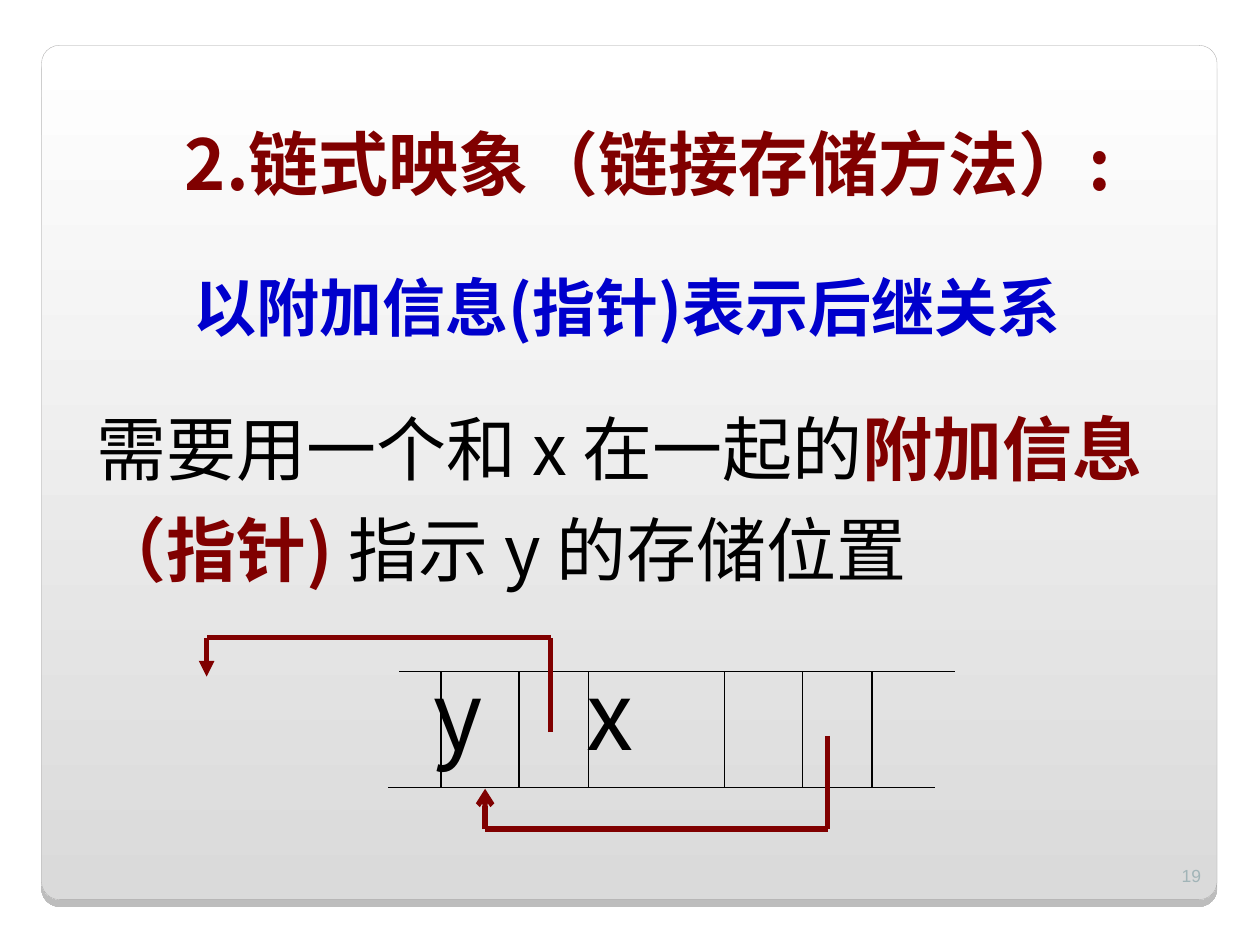
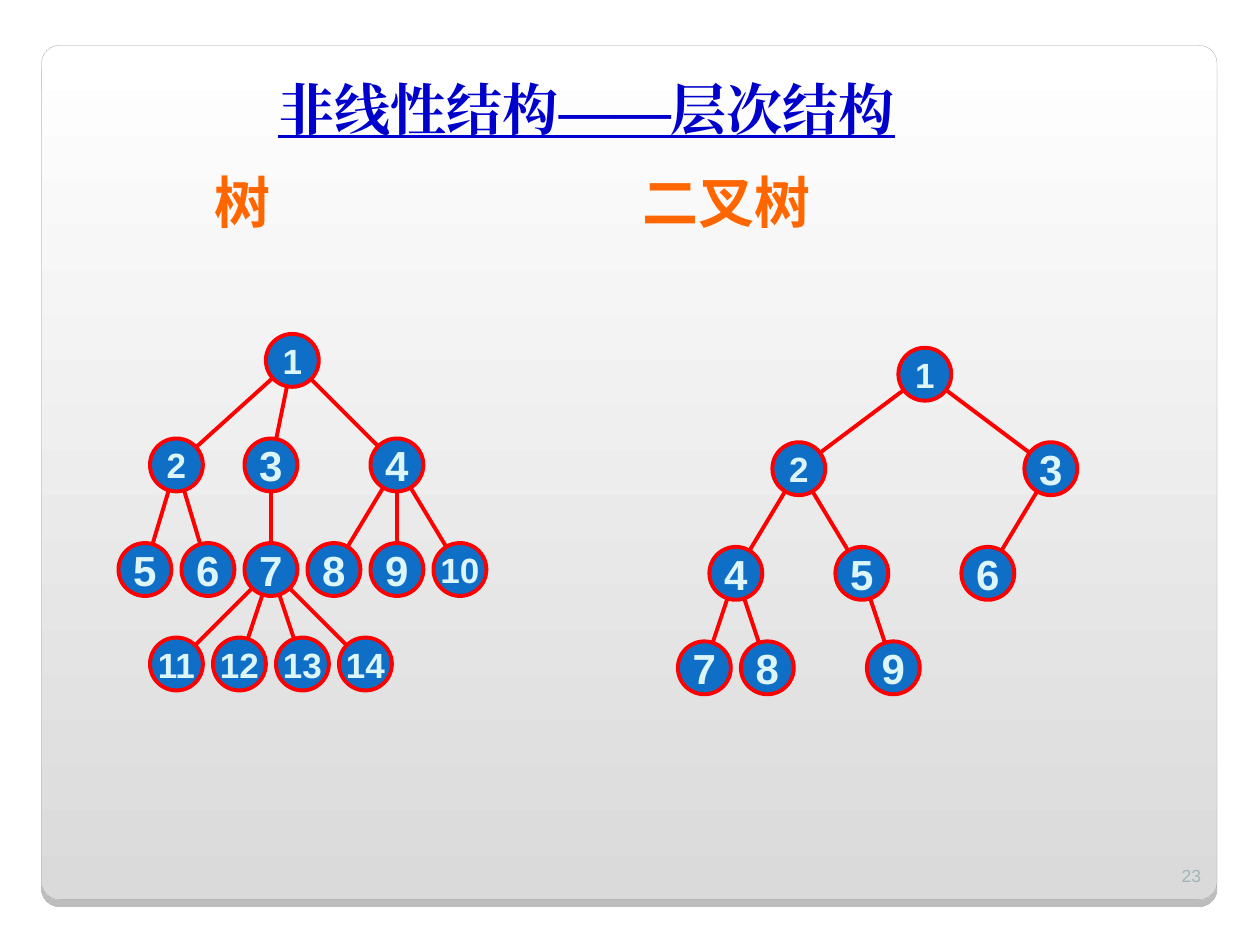
import itertools

import pptx
import pptx.dml.color
import pptx.enum.shapes
import pptx.enum.text
import pptx.oxml
import pptx.oxml.ns
import pptx.util
from pptx.util import Inches

# ---- Shared look ----
RED, BLUE, ORANGE, BLACK = "800000", "0000CC", "FF6600", "000000"
NODE_FILL, NODE_LINE, NODE_TEXT = "0F6FC6", "FF0000", "DBF5F9"
CJK = "Noto Sans CJK SC"
NODE_SIZE = 0.42
ANCHOR = pptx.enum.text.MSO_ANCHOR
ALIGN = pptx.enum.text.PP_ALIGN

# ---- Content: linked storage ----
LINKED_TEXTS = [  # position, runs, line spacing
    ((1.37, 0.91, 8.07, 0.77),
     [("2.链式映象（链接存储方法）:", dict(size=40, color=RED, bold=True))], None),
    ((1.44, 2.08, 7.68, 0.7),
     [("以附加信息(指针)表示后继关系", dict(size=36, color=BLUE, bold=True))], None),
    ((0.67, 3.04, 9.08, 1.7),
     [("需要用一个和 x 在一起的", dict(size=40)),
      ("附加信息（指针) ", dict(size=40, color=RED, bold=True)),
      ("指示 y 的存储位置", dict(size=40))], 1.2),
    ((3.34, 5.16, 0.8, 1), [("y", dict(size=54))], None),
    ((4.56, 5.16, 0.8, 1), [("x", dict(size=54))], None),
]
MEMORY_TOP, MEMORY_BOTTOM = 5.33, 6.25
MEMORY_EDGES = [(3.17, 7.58, MEMORY_TOP), (3.08, 7.42, MEMORY_BOTTOM)]
CELL_BORDERS = [3.5, 4.12, 4.67, 5.75, 6.37, 6.92]
POINTERS = [  # arrow style, corner points
    ("triangle", [(4.37, 5.81), (4.37, 5.06), (1.64, 5.06), (1.64, 5.37)]),
    ("arrow", [(6.57, 5.84), (6.57, 6.58), (3.85, 6.58), (3.85, 6.26)]),
]

# ---- Content: trees (rows hold a top and the left of each node) ----
TREES = [
    dict(rows=[(2.65, {1: 2.11}),
               (3.48, {2: 1.19, 3: 1.94, 4: 2.94}),
               (4.31, {label: 0.94 + 0.5 * i for i, label in enumerate(range(5, 11))}),
               (5.06, {label: 1.19 + 0.5 * i for i, label in enumerate(range(11, 15))})],
         children={1: [2, 3, 4], 2: [5, 6], 3: [7], 4: [8, 9, 10],
                   7: [11, 12, 13, 14]}),
    dict(rows=[(2.76, {1: 7.13}),
               (3.51, {2: 6.13, 3: 8.13}),
               (4.34, {4: 5.63, 5: 6.63, 6: 7.63}),
               (5.09, {7: 5.38, 8: 5.88, 9: 6.88})],
         children={1: [2, 3], 2: [4, 5], 3: [6], 4: [7, 8], 5: [9]}),
]


# ---- Helpers ----
def rgb(value):
    return pptx.dml.color.RGBColor.from_string(value)


def add_xml(parent, tag, content="", **attributes):
    listed = " ".join(f'{name}="{value}"' for name, value in attributes.items())
    namespace = pptx.oxml.ns.nsdecls("a")
    parent.append(pptx.oxml.parse_xml(
        f"<a:{tag} {namespace} {listed}>{content}</a:{tag}>"))


def set_line(line, color, width):
    line.color.rgb = rgb(color)
    line.width = pptx.util.Pt(width)


def add_run(paragraph, text, size, color=BLACK, bold=False, underline=False, name=CJK):
    run = paragraph.add_run()
    run.text = text
    values = dict(size=pptx.util.Pt(size), bold=bold, underline=underline, name=name)
    for attribute, value in values.items():
        setattr(run.font, attribute, value)
    run.font.color.rgb = rgb(color)
    add_xml(run.font._element, "ea", typeface=name)


def set_frame(frame, margins, anchor, wrap=True):
    horizontal, vertical = map(Inches, margins)
    values = dict(margin_left=horizontal, margin_right=horizontal, margin_top=vertical,
                  margin_bottom=vertical, vertical_anchor=anchor, word_wrap=wrap)
    for attribute, value in values.items():
        setattr(frame, attribute, value)


def add_text(slide, position, runs, spacing=None, margins=(0.1, 0.05),
             anchor=ANCHOR.TOP, align=ALIGN.LEFT, tabs=()):
    frame = slide.shapes.add_textbox(*map(Inches, position)).text_frame
    set_frame(frame, margins, anchor)
    paragraph = frame.paragraphs[0]
    paragraph.alignment = align
    if spacing:
        paragraph.line_spacing = spacing
    if tabs:
        stops = "".join(f'<a:tab pos="{Inches(stop)}" algn="l"/>' for stop in tabs)
        add_xml(paragraph._p.get_or_add_pPr(), "tabLst", stops)
    for text, style in runs:
        add_run(paragraph, text, **style)


def add_line(slide, start, end, color, width, arrow=None):
    connector = slide.shapes.add_connector(
        pptx.enum.shapes.MSO_CONNECTOR.STRAIGHT, *map(Inches, (*start, *end)))
    set_line(connector.line, color, width)
    if arrow:
        add_xml(connector.line._get_or_add_ln(), "tailEnd", type=arrow)
    add_xml(connector._element.spPr, "effectLst")


def add_card(slide):
    card = slide.shapes.add_shape(pptx.enum.shapes.MSO_SHAPE.ROUNDED_RECTANGLE,
                                  *map(Inches, (0.33, 0.36, 9.33, 6.78)))
    card.adjustments[0] = 0.021
    card.fill.gradient()
    card.fill.gradient_angle = 270
    for stop, color in zip(card.fill.gradient_stops, ("FFFFFF", "DADADA")):
        stop.color.rgb = rgb(color)
    set_line(card.line, "A4A3A3", 0.17)
    card.shadow.inherit = False
    effects = card._element.spPr.find(pptx.oxml.ns.qn("a:effectLst"))
    add_xml(effects, "outerShdw",
            '<a:srgbClr val="000000"><a:alpha val="25000"/></a:srgbClr>',
            blurRad=0, dist=pptx.util.Pt(4), dir=5400000, algn="t", rotWithShape=0)


def add_page(presentation, number):
    slide = presentation.slides.add_slide(presentation.slide_layouts[6])
    add_card(slide)
    add_text(slide, (9.13, 6.68, 0.5, 0.4),
             [(str(number), dict(size=10, color="A1B4B7", name="Arial"))],
             anchor=ANCHOR.BOTTOM, align=ALIGN.RIGHT)
    return slide


def add_node(slide, label, left, top):
    node = slide.shapes.add_shape(pptx.enum.shapes.MSO_SHAPE.OVAL,
                                  *map(Inches, (left, top, NODE_SIZE, NODE_SIZE)))
    node.shadow.inherit = False
    node.fill.solid()
    node.fill.fore_color.rgb = rgb(NODE_FILL)
    set_line(node.line, NODE_LINE, 2.25)
    set_frame(node.text_frame, (0, 0), ANCHOR.MIDDLE, wrap=False)
    paragraph = node.text_frame.paragraphs[0]
    paragraph.alignment = ALIGN.CENTER
    size = 24 if 3 <= label <= 9 else 20
    add_run(paragraph, str(label), size, NODE_TEXT, bold=True, name="Arial")


def add_tree(slide, rows, children):
    corners = {label: (left, top) for top, row in rows for label, left in row.items()}
    centers = {label: (left + NODE_SIZE / 2, top + NODE_SIZE / 2)
               for label, (left, top) in corners.items()}
    for parent, labels in children.items():
        for label in labels:
            add_line(slide, centers[parent], centers[label], NODE_LINE, 2.25)
    for label, corner in corners.items():
        add_node(slide, label, *corner)


# ---- Slides ----
def build_linked_storage(presentation):
    slide = add_page(presentation, 19)
    for position, runs, spacing in LINKED_TEXTS:
        add_text(slide, position, runs, spacing)
    for left, right, y in MEMORY_EDGES:
        add_line(slide, (left, y), (right, y), BLACK, 0.75)
    for x in CELL_BORDERS:
        add_line(slide, (x, MEMORY_TOP), (x, MEMORY_BOTTOM), BLACK, 0.75)
    for arrow, points in POINTERS:
        for start, end in itertools.pairwise(points):
            add_line(slide, start, end, RED, 3, arrow if end == points[-1] else None)


def build_trees(presentation):
    slide = add_page(presentation, 23)
    add_text(slide, (2.09, 0.52, 6.22, 0.67),
             [("非线性结构——层次结构", dict(size=32, color=BLUE, bold=True, underline=True,
                                    name="Times New Roman"))],
             margins=(0.12, 0.06), anchor=ANCHOR.MIDDLE)
    add_text(slide, (1.27, 1.27, 8.46, 0.66),
             [("\t树\t二叉树", dict(size=32, color=ORANGE, bold=True))],
             margins=(0.12, 0.06), tabs=(0.31, 3.71))
    for tree in TREES:
        add_tree(slide, **tree)


def main():
    presentation = pptx.Presentation()
    presentation.slide_width = Inches(10)
    presentation.slide_height = Inches(7.5)
    build_linked_storage(presentation)
    build_trees(presentation)
    presentation.save("out.pptx")


if __name__ == "__main__":
    main()
